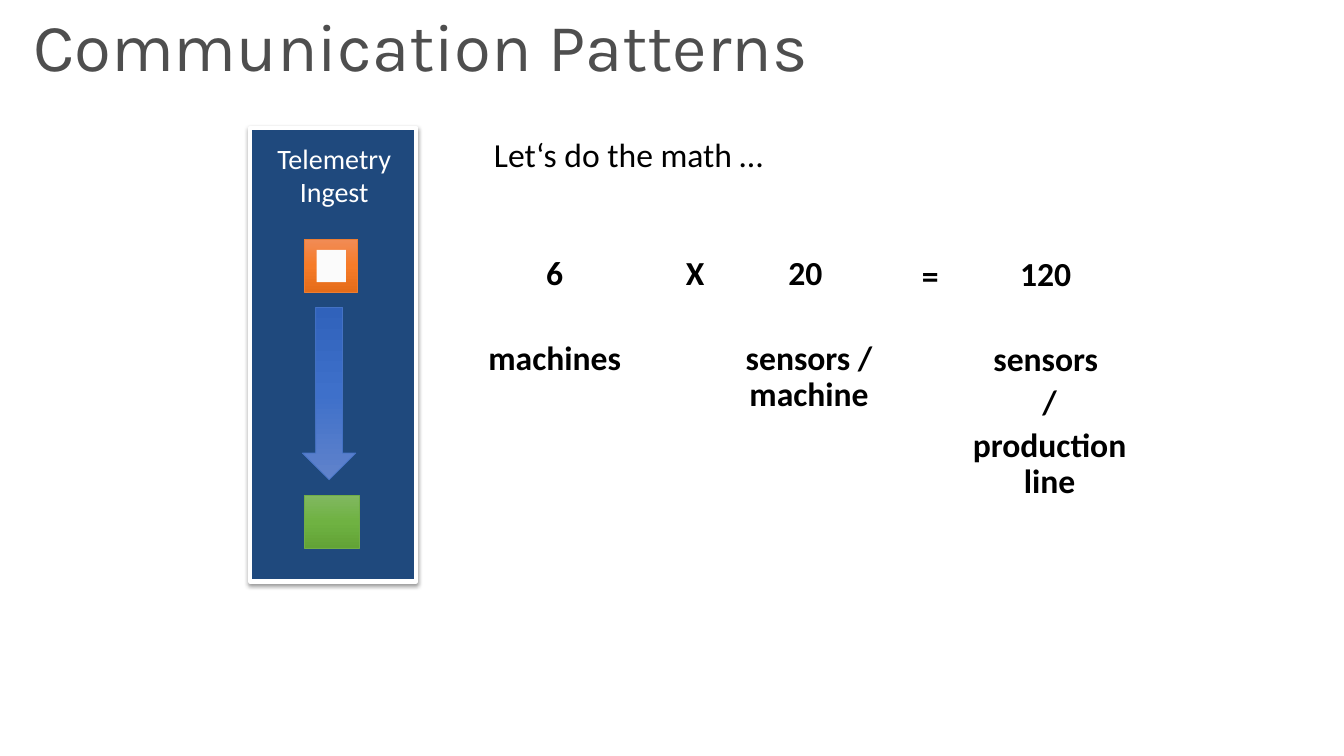
from copy import deepcopy

from lxml import etree
from pptx import Presentation
from pptx.dml.color import RGBColor
from pptx.enum.shapes import MSO_SHAPE
from pptx.enum.text import PP_ALIGN
from pptx.oxml.ns import qn
from pptx.util import Inches, Pt

RECT = MSO_SHAPE.RECTANGLE
UP_ARROW = MSO_SHAPE.UP_ARROW
LEFT, CENTER = PP_ALIGN.LEFT, PP_ALIGN.CENTER

BLACK, WHITE = "000000", "FFFFFF"
LINE_GAP = 4.8    # points between the paragraphs of a caption
VALUE_GAP = 35    # points between a value and its caption


def color(hex_string):
    return RGBColor.from_string(hex_string)


def add_block(slide, kind, box, fill, line=None, line_width=0.5):
    """Preset shape; fill is one colour or three colours from top to bottom."""
    s = slide.shapes.add_shape(kind, *[Inches(v) for v in box])
    s.shadow.inherit = False
    if isinstance(fill, str):
        s.fill.solid()
        s.fill.fore_color.rgb = color(fill)
    else:
        s.fill.gradient()
        s.fill.gradient_angle = 270
        stops = s._element.spPr.find(".//" + qn("a:gsLst"))
        stops.insert(1, deepcopy(stops[0]))
        for stop, position, shade in zip(s.fill.gradient_stops, (0, 0.5, 1), fill):
            stop.position = position
            stop.color.rgb = color(shade)
    if line:
        s.line.color.rgb = color(line)
        s.line.width = Pt(line_width)
    else:
        s.line.fill.background()
    return s


def add_shadow(s):
    effects = s._element.spPr.find(qn("a:effectLst"))
    shadow = etree.SubElement(effects, qn("a:outerShdw"), blurRad=str(Pt(3.1)),
                              dist=str(Pt(1.6)), dir="5400000", rotWithShape="0")
    shade = etree.SubElement(shadow, qn("a:srgbClr"), val=BLACK)
    etree.SubElement(shade, qn("a:alpha"), val="38000")


def add_text(slide, box, lines, size=24, font="Calibri", ink=BLACK, bold=False,
             align=LEFT, spacing=0.9, insets=(0.16, 0.1), indent=0.11, gaps=()):
    """Text box with one paragraph per line; gaps are the spaces between them."""
    tf = slide.shapes.add_textbox(*[Inches(v) for v in box]).text_frame
    tf.word_wrap = True
    tf.margin_left = tf.margin_right = Inches(insets[0])
    tf.margin_top = tf.margin_bottom = Inches(insets[1])
    for i, line in enumerate(lines):
        p = tf.add_paragraph() if i else tf.paragraphs[0]
        p.text = line
        p.alignment = align
        p.line_spacing = spacing
        if indent:
            p._p.get_or_add_pPr().set("marL", str(Inches(indent)))
        if i and gaps:
            p.space_before = Pt(gaps[i - 1])
        p.font.size = Pt(size)
        p.font.name = font
        p.font.bold = bold
        p.font.color.rgb = color(ink)


def add_term(slide, box, value, *caption):
    """Bold part of the equation, with an optional caption under its value."""
    gaps = [VALUE_GAP] + [LINE_GAP] * len(caption)
    add_text(slide, box, (value, *caption), bold=True, align=CENTER, gaps=gaps)


def main():
    prs = Presentation()
    prs.slide_width, prs.slide_height = Inches(13.33), Inches(7.5)
    slide = prs.slides.add_slide(prs.slide_layouts[6])

    # Title
    add_text(slide, (0.33, 0.13, 11.13, 0.73), ["Communication Patterns"], size=48,
             font="Karla", ink="4E4E4E", insets=(0, 0), indent=0)

    # Telemetry panel
    panel = add_block(slide, RECT, (2.48, 1.27, 1.65, 4.5), "1F497D", WHITE, 3)
    add_shadow(panel)
    add_text(slide, (2.53, 1.35, 1.57, 0.77), ["Telemetry", "Ingest"], size=20,
             ink=WHITE, align=CENTER, spacing=1, insets=(0.1, 0.05), indent=0)

    # Flow from the source down to the target
    add_block(slide, RECT, (3.02, 2.37, 0.53, 0.53),
              ("F18C57", "F67B28", "E56C19"), "ED7D31")
    add_block(slide, RECT, (3.14, 2.48, 0.29, 0.32), "FBFBFB")
    arrow = add_block(slide, UP_ARROW, (3, 3.05, 0.53, 1.71),
                      ("6183CB", "3E70CA", "3062BB"), "4472C4")
    arrow.rotation = 180
    add_block(slide, RECT, (3.02, 4.91, 0.54, 0.53),
              ("81B861", "6FB242", "62A336"), "70AD47")

    # Equation
    add_text(slide, (4.63, 1.27, 3.44, 0.57), ["Let‘s do the math …"])
    add_term(slide, (4.47, 2.44, 2.03, 2.34), "6 ", "machines ")
    add_term(slide, (6.55, 2.44, 0.58, 1.45), "X")
    add_term(slide, (7.06, 2.44, 1.82, 2.71), "20 ", "sensors / machine")
    add_term(slide, (8.88, 2.47, 0.58, 0.57), "=")
    add_term(slide, (9.22, 2.45, 2.27, 3.59), "120 ", "sensors ", "/", "production line")

    prs.save("out.pptx")


if __name__ == "__main__":
    main()
